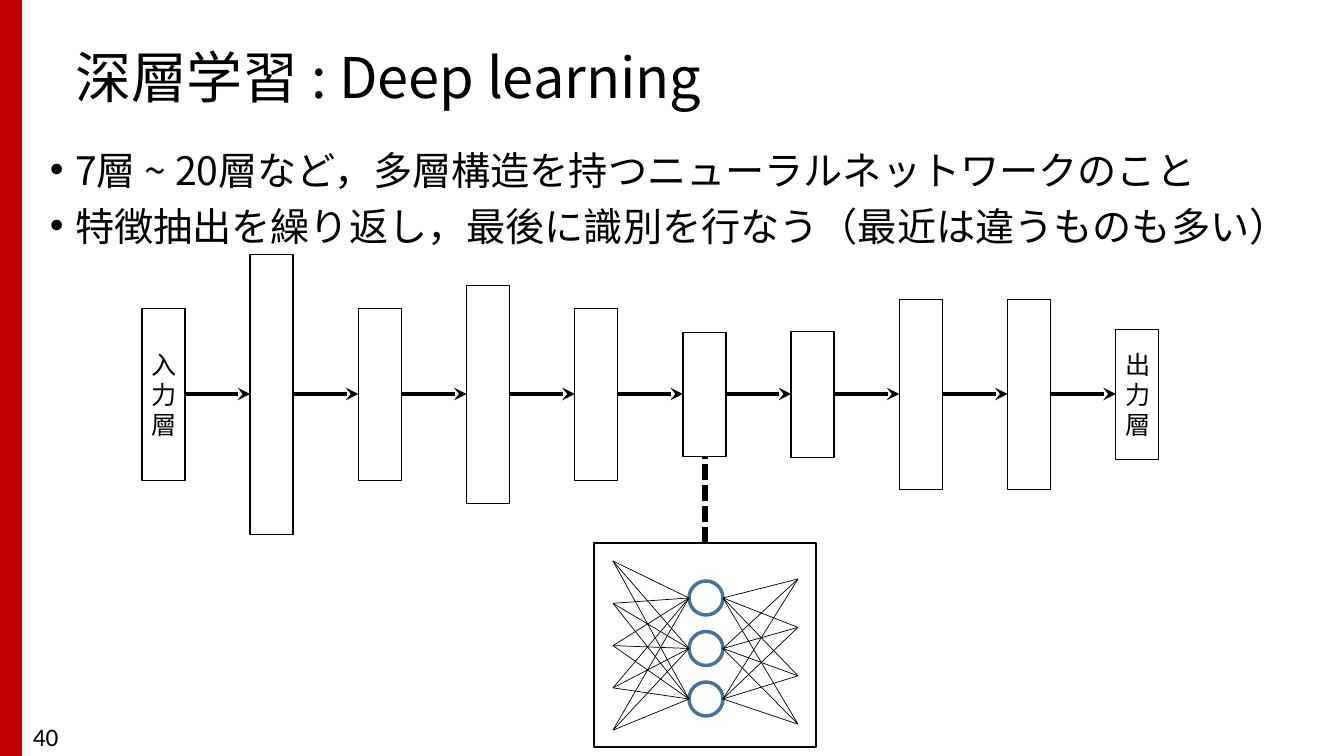
from dataclasses import dataclass

from lxml import etree
from pptx import Presentation
from pptx.dml.color import RGBColor
from pptx.enum.dml import MSO_LINE
from pptx.enum.shapes import MSO_CONNECTOR, MSO_SHAPE
from pptx.enum.text import MSO_ANCHOR, PP_ALIGN
from pptx.oxml.ns import qn
from pptx.util import Emu, Pt

RECT, OVAL = MSO_SHAPE.RECTANGLE, MSO_SHAPE.OVAL
STRAIGHT, DOTTED = MSO_CONNECTOR.STRAIGHT, MSO_LINE.SQUARE_DOT
MIDDLE, LEFT, CENTER = MSO_ANCHOR.MIDDLE, PP_ALIGN.LEFT, PP_ALIGN.CENTER
PX = 914400 / 100.8


@dataclass(frozen=True)
class Theme:
    ink: RGBColor = RGBColor(0, 0, 0)
    accent: RGBColor = RGBColor(0xC0, 0, 0)
    neuron: RGBColor = RGBColor(0x43, 0x73, 0x9E)
    main_font: str = "Noto Sans CJK JP"
    label_font: str = "Calibri"
    title_size: int = 40
    body_size: int = 28
    label_size: int = 18


theme = Theme()


def px(*lengths):
    return [Emu(round(length * PX)) for length in lengths]


def set_font(paragraph, size, typeface):
    for run in paragraph.runs:
        run.font.size = Pt(size)
        run.font.name = typeface
        run.font.color.rgb = theme.ink
        etree.SubElement(run.font._element, qn("a:ea"), typeface=typeface)


prs = Presentation()
prs.slide_width, prs.slide_height = px(1344, 756)
slide = prs.slides.add_slide(prs.slide_layouts[5])
shapes = slide.shapes

# Title
title = shapes.title
title.left, title.top, title.width, title.height = px(65, 40, 1224, 81)
title.text_frame.text = "深層学習 : Deep learning"
title.text_frame.vertical_anchor = MIDDLE
heading = title.text_frame.paragraphs[0]
heading.alignment, heading.line_spacing = LEFT, 0.9
set_font(heading, theme.title_size, theme.main_font)

# Red edge bar
edge_bar = shapes.add_shape(RECT, *px(0, 0, 22, 756))
edge_bar.shadow.inherit = False
edge_bar.fill.solid()
edge_bar.fill.fore_color.rgb = theme.accent
edge_bar.line.fill.background()

# Bullet points
points = [
    "7層 ~ 20層など，多層構造を持つニューラルネットワークのこと",
    "特徴抽出を繰り返し，最後に識別を行なう（最近は違うものも多い）",
]
body = shapes.add_textbox(*px(40, 146, 1303, 110)).text_frame
body.word_wrap = True
body.text = "\n".join(points)
for point in body.paragraphs:
    point.line_spacing, point.space_before = Pt(30), Pt(10)
    props = point._p.get_or_add_pPr()
    props.set("marL", "228600")
    props.set("indent", "-228600")
    etree.SubElement(props, qn("a:buFont"), typeface="Arial")
    etree.SubElement(props, qn("a:buChar"), char="•")
    set_font(point, theme.body_size, theme.main_font)

# Outlined shapes: layers left to right, detail frame, hidden neurons
layer_heights = [172, 280, 172, 218, 172, 124, 126, 190, 190, 130]
layer_labels = {0: "入力層", len(layer_heights) - 1: "出力層"}
layer_width, axis_y = 43, 394
layer_lefts = [142 + 108.2 * i for i in range(len(layer_heights))]
neuron_size, hidden_left = 34, 689
hidden_ys = [598 + 50.5 * i for i in range(3)]

outlines = [(RECT, 594, 543, 222, 204, theme.ink, 1, "")]
for i, (left, height) in enumerate(zip(layer_lefts, layer_heights)):
    outlines.append((RECT, left, axis_y + 0.5 - height / 2, layer_width, height,
                     theme.ink, 1, layer_labels.get(i, "")))
for y in hidden_ys:
    outlines.append((OVAL, hidden_left, y - neuron_size / 2, neuron_size, neuron_size,
                     theme.neuron, 2.5, ""))

for kind, left, top, width, height, color, weight, label in outlines:
    outline = shapes.add_shape(kind, *px(left, top, width, height))
    outline.shadow.inherit = False
    outline.fill.background()
    outline.line.color.rgb = color
    outline.line.width = Pt(weight)
    if label:
        frame = outline.text_frame
        frame.text = label
        frame.word_wrap, frame.vertical_anchor = True, MIDDLE
        frame.paragraphs[0].alignment = CENTER
        set_font(frame.paragraphs[0], theme.label_size, theme.label_font)

# Lines: arrows between layers, neuron weights, dotted link to the detail
links = [(left + layer_width, axis_y, following, axis_y, 3, "arrow")
         for left, following in zip(layer_lefts, layer_lefts[1:])]
for hidden_y in hidden_ys:
    links += [(613, 561 + 42.3 * i, hidden_left, hidden_y, 0.5, "weight")
              for i in range(5)]
    links += [(hidden_left + neuron_size, hidden_y, 798, 579 + 48.4 * i, 0.5, "weight")
              for i in range(4)]
links.append((705, 543, 705, 457, 3.75, "dotted"))

for x1, y1, x2, y2, weight, role in links:
    link = shapes.add_connector(STRAIGHT, *px(x1, y1, x2, y2))
    link.line.color.rgb = theme.ink
    link.line.width = Pt(weight)
    if role == "dotted":
        link.line.dash_style = DOTTED
    if role == "arrow":
        etree.SubElement(link.line._get_or_add_ln(), qn("a:tailEnd"), type="stealth")
    etree.SubElement(link._element.spPr, qn("a:effectLst"))

# Page number
page_number = shapes.add_textbox(*px(23, 716, 302, 40)).text_frame
page_number.word_wrap = True
page_number.text = "40"
set_font(page_number.paragraphs[0], theme.label_size, theme.label_font)

prs.save("out.pptx")
